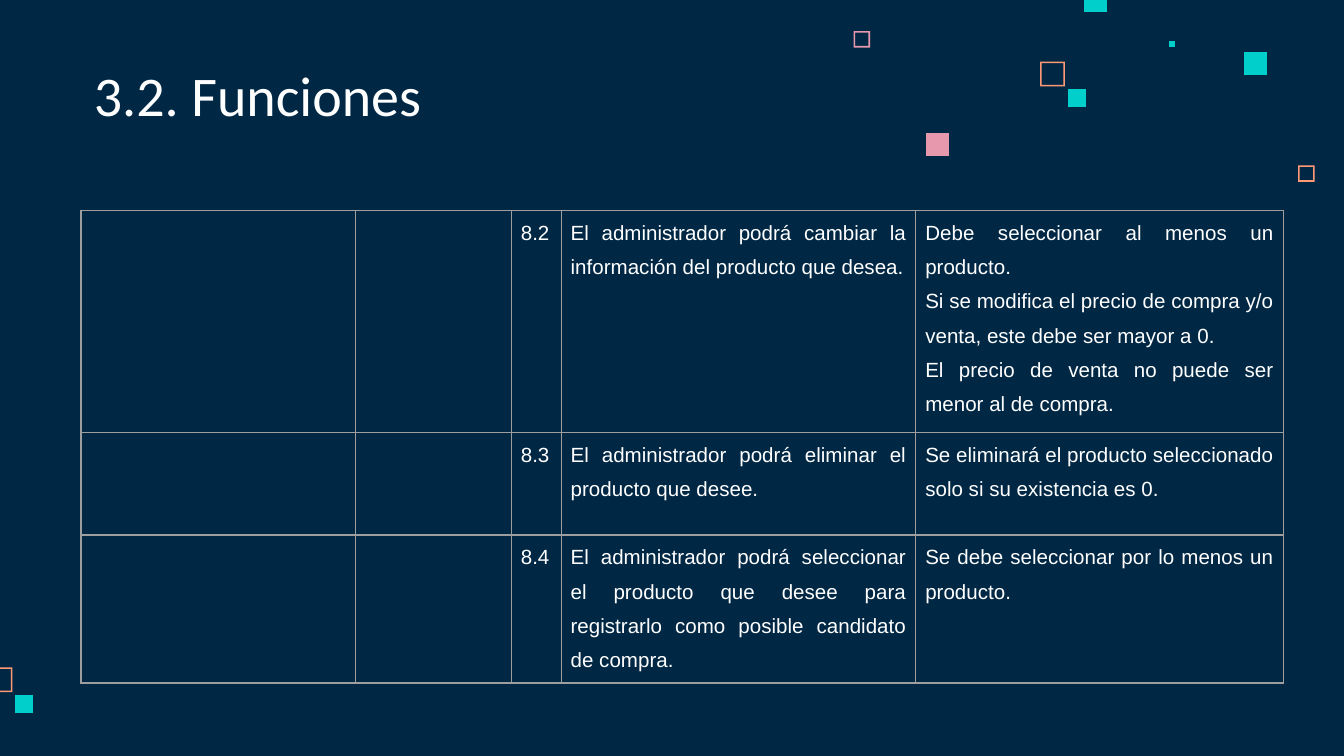
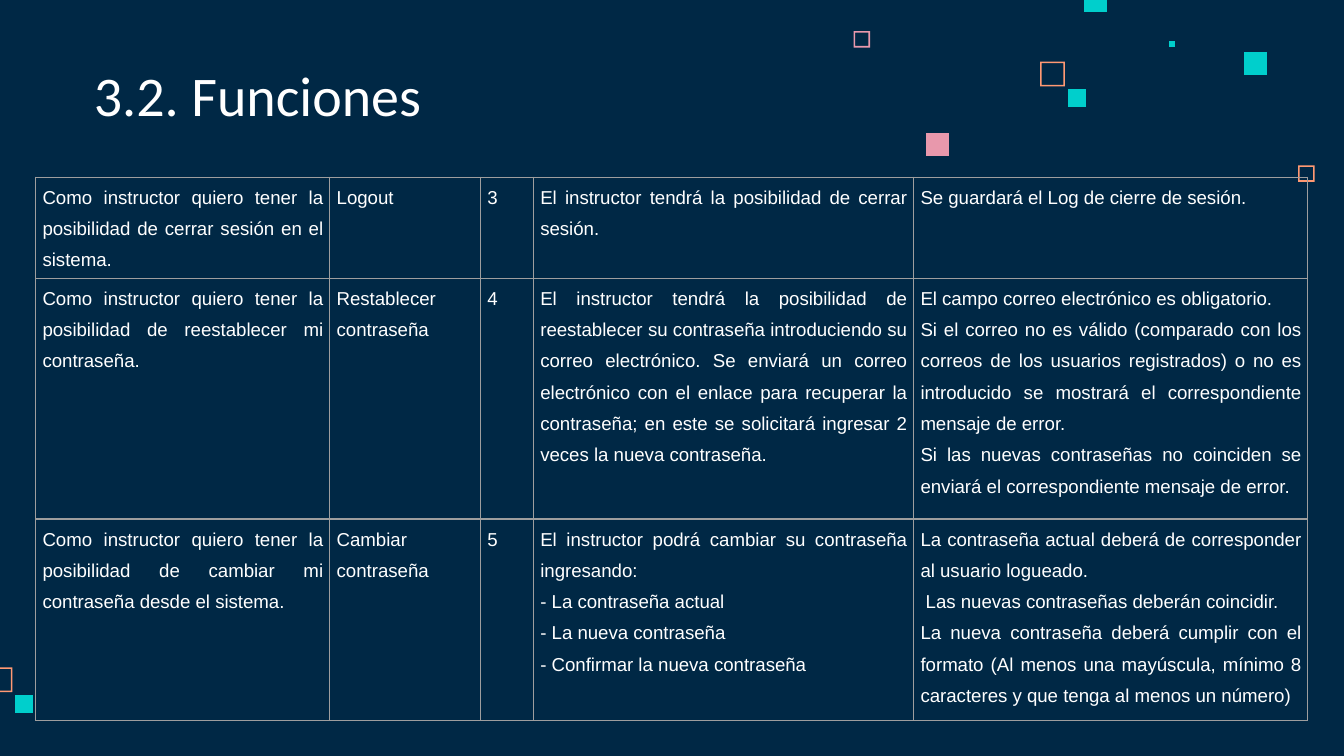
from dataclasses import dataclass
from typing import Any

from lxml import etree
from pptx import Presentation
from pptx.dml import color as dml
from pptx.enum import text
from pptx.oxml import ns
from pptx.util import Pt

COLORS = {
    "navy": "002845",
    "white": "FFFFFF",
    "teal": "00CFCC",
    "pink": "E898AC",
    "orange": "FF9973",
    "grid": "9E9E9E",
}
TITLE = "3.2. Funciones"
TITLE_FONT = {"name": "Calibri", "size": Pt(30)}
TITLE_FRAME = {
    "word_wrap": True,
    "vertical_anchor": text.MSO_ANCHOR.BOTTOM,
    "margin_left": Pt(7.2),
    "margin_right": Pt(7.2),
    "margin_top": Pt(7.2),
    "margin_bottom": Pt(7.2),
}
CELL_PARAGRAPH = {"alignment": text.PP_ALIGN.JUSTIFY, "line_spacing": 1.5}
PLAIN_TABLE = {"first_row": False, "horz_banding": False}
RING_WIDTH = 0.8
BORDER_WIDTH = 0.75


@dataclass
class Square:
    left: float
    top: float
    size: float
    color: str
    ring: bool = False


@dataclass
class FunctionTable:
    left: float
    top: float
    columns: list[float]
    heights: list[float]
    font_size: float
    margin: float
    rows: list[list[str]]


SQUARES = [
    Square(695.5, 88.6, 8.8, "orange", True),
    Square(457.3, 16.7, 8.8, "pink", True),
    Square(557.3, 33.1, 13.2, "orange", True),
    Square(626.4, 21.8, 3.3, "teal"),
    Square(580.5, -5.6, 12.3, "teal"),
    Square(666.5, 27.9, 12.3, "teal"),
    Square(572, 47.7, 9.7, "teal"),
    Square(496.1, 71.3, 12.3, "pink"),
    Square(-6.6, 357.6, 13.2, "orange", True),
    Square(8, 372.3, 9.7, "teal"),
]

TABLES = [
    FunctionTable(
        43.4, 112.7, [147, 83.6, 26.7, 190, 196.8], [110, 55, 73.4], 11, 5.1,
        [
            ["", "", "8.2",
             "El administrador podrá cambiar la información del producto que desea.",
             """Debe seleccionar al menos un producto.
Si se modifica el precio de compra y/o venta, este debe ser mayor a 0.
El precio de venta no puede ser menor al de compra."""],
            ["", "", "8.3",
             "El administrador podrá eliminar el producto que desee.",
             "Se eliminará el producto seleccionado solo si su existencia es 0."],
            ["", "", "8.4",
             "El administrador podrá seleccionar el producto que desee para "
             "registrarlo como posible candidato de compra.",
             "Se debe seleccionar por lo menos un producto."],
        ],
    ),
    FunctionTable(
        19.1, 94.9, [157.6, 80.8, 28.3, 203.7, 211.2], [50, 129, 102.5], 10, 3.7,
        [
            ["Como instructor quiero tener la posibilidad de cerrar sesión en el sistema.",
             "Logout", "3",
             "El instructor tendrá la posibilidad de cerrar sesión.",
             "Se guardará el Log de cierre de sesión."],
            ["Como instructor quiero tener la posibilidad de reestablecer mi contraseña.",
             "Restablecer contraseña", "4",
             "El instructor tendrá la posibilidad de reestablecer su contraseña "
             "introduciendo su correo electrónico. Se enviará un correo electrónico "
             "con el enlace para recuperar la contraseña; en este se solicitará "
             "ingresar 2 veces la nueva contraseña.",
             """El campo correo electrónico es obligatorio.
Si el correo no es válido (comparado con los correos de los usuarios registrados) o no es introducido se mostrará el correspondiente mensaje de error.
Si las nuevas contraseñas no coinciden se enviará el correspondiente mensaje de error."""],
            ["Como instructor quiero tener la posibilidad de cambiar mi contraseña desde el sistema.",
             "Cambiar contraseña", "5",
             """El instructor podrá cambiar su contraseña ingresando:
- La contraseña actual
- La nueva contraseña
- Confirmar la nueva contraseña""",
             """La contraseña actual deberá de corresponder al usuario logueado.
 Las nuevas contraseñas deberán coincidir.
La nueva contraseña deberá cumplir con el formato (Al menos una mayúscula, mínimo 8 caracteres y que tenga al menos un número)"""],
        ],
    ),
]


def rgb(name: str) -> dml.RGBColor:
    return dml.RGBColor.from_string(COLORS[name])


def apply(target: Any, values: dict[str, Any]) -> None:
    for name, value in values.items():
        setattr(target, name, value)


def add_run(p: Any, words: str, font: dict[str, Any]) -> None:
    r = p.add_run()
    r.text = words
    apply(r.font, font)
    r.font.color.rgb = rgb("white")


def corners(square: Square, inset: float = 0) -> list[tuple[int, int]]:
    x1, y1 = Pt(square.left + inset), Pt(square.top + inset)
    x2 = Pt(square.left + square.size - inset)
    y2 = Pt(square.top + square.size - inset)
    return [(x1, y1), (x1, y2), (x2, y2), (x2, y1)]


def draw_square(s: Any, square: Square) -> None:
    outer = corners(square)
    builder = s.shapes.build_freeform(*outer[0])
    builder.add_line_segments(outer[1:], close=True)
    if square.ring:
        inner = corners(square, RING_WIDTH)
        builder.move_to(*inner[0])
        builder.add_line_segments(inner[:0:-1], close=True)
    sp = builder.convert_to_shape()
    sp.shadow.inherit = False
    sp.fill.solid()
    sp.fill.fore_color.rgb = rgb(square.color)
    sp.line.fill.background()


def draw_title(s: Any) -> None:
    tf = s.shapes.add_textbox(Pt(43.2), Pt(30.2), Pt(425), Pt(45.4)).text_frame
    apply(tf, TITLE_FRAME)
    add_run(tf.paragraphs[0], TITLE, TITLE_FONT)


def add_borders(cell: Any) -> None:
    tc_pr = cell._tc.get_or_add_tcPr()
    for side in ("lnL", "lnR", "lnT", "lnB"):
        ln = etree.SubElement(tc_pr, ns.qn(f"a:{side}"), w=str(Pt(BORDER_WIDTH)))
        fill = etree.SubElement(ln, ns.qn("a:solidFill"))
        etree.SubElement(fill, ns.qn("a:srgbClr"), val=COLORS["grid"])


def fill_cell(cell: Any, words: str, font: dict[str, Any], margin: float) -> None:
    margins = {"margin_left": Pt(margin), "margin_right": Pt(margin),
               "margin_top": Pt(0), "margin_bottom": Pt(0)}
    apply(cell, margins)
    add_borders(cell)
    cell.fill.background()
    tf = cell.text_frame
    for i, line in enumerate(words.splitlines()):
        p = tf.add_paragraph() if i else tf.paragraphs[0]
        apply(p, CELL_PARAGRAPH)
        add_run(p, line, font)


def draw_table(s: Any, table: FunctionTable) -> None:
    grid = s.shapes.add_table(
        len(table.rows), len(table.columns), Pt(table.left), Pt(table.top),
        Pt(sum(table.columns)), Pt(sum(table.heights))).table
    apply(grid, PLAIN_TABLE)
    for column, width in zip(grid.columns, table.columns):
        column.width = Pt(width)
    font = {"name": "Arial", "size": Pt(table.font_size)}
    for row, height, words in zip(grid.rows, table.heights, table.rows):
        row.height = Pt(height)
        for cell, content in zip(row.cells, words):
            fill_cell(cell, content, font, table.margin)


def main() -> None:
    prs = Presentation()
    apply(prs, {"slide_width": Pt(720), "slide_height": Pt(405)})
    background = prs.slide_master.background.fill
    background.solid()
    background.fore_color.rgb = rgb("navy")
    for table in TABLES:
        s = prs.slides.add_slide(prs.slide_layouts[6])
        for square in SQUARES:
            draw_square(s, square)
        draw_title(s)
        draw_table(s, table)
    prs.save("out.pptx")


if __name__ == "__main__":
    main()
